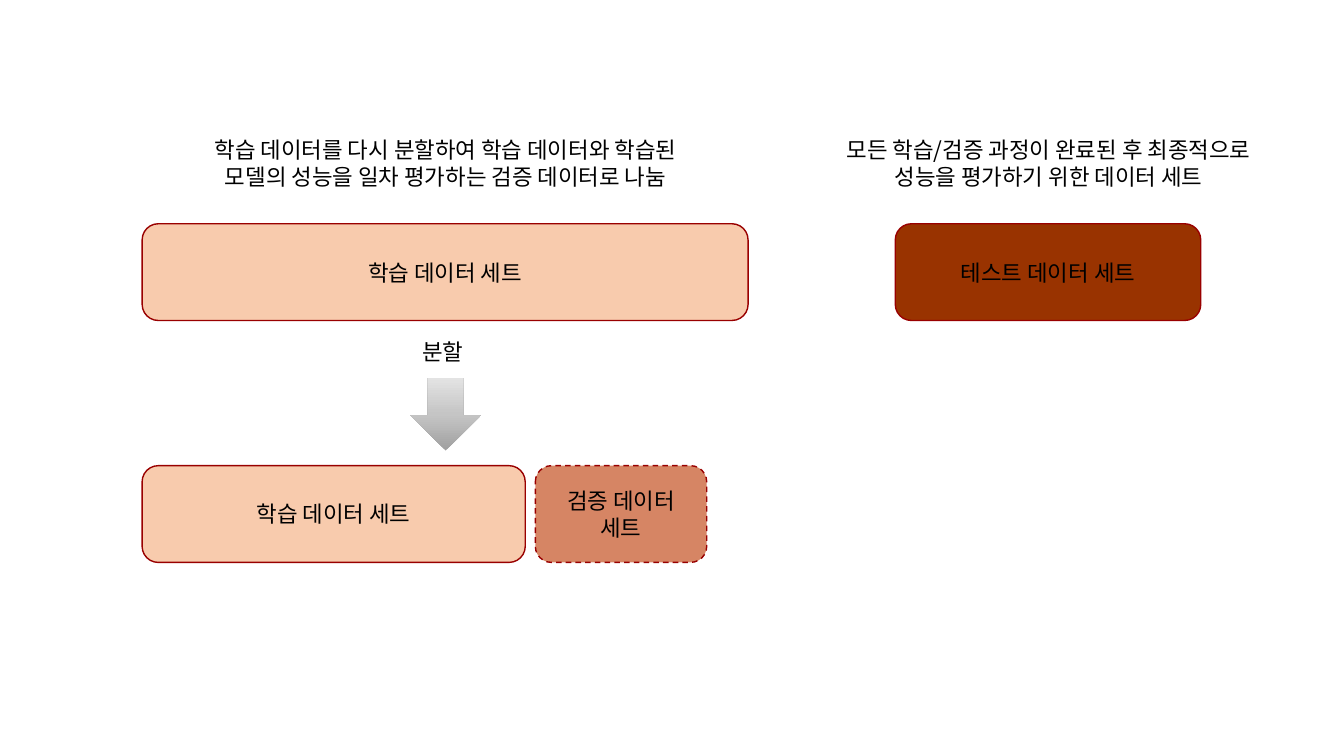
"""Build a slide on splitting data into training, validation and test sets."""
from copy import deepcopy
from dataclasses import dataclass

from lxml import etree
from pptx import Presentation
from pptx.dml.color import RGBColor
from pptx.enum.dml import MSO_LINE
from pptx.enum.shapes import MSO_SHAPE
from pptx.enum.text import MSO_ANCHOR, MSO_AUTO_SIZE, PP_ALIGN
from pptx.oxml.ns import qn
from pptx.shapes.autoshape import Shape
from pptx.slide import Slide
from pptx.util import Inches, Pt

ROUND = MSO_SHAPE.ROUNDED_RECTANGLE
DOWN = MSO_SHAPE.DOWN_ARROW
DASH = MSO_LINE.DASH
MIDDLE = MSO_ANCHOR.MIDDLE
GROW = MSO_AUTO_SIZE.SHAPE_TO_FIT_TEXT
LEFT, CENTER = PP_ALIGN.LEFT, PP_ALIGN.CENTER
CELL = Inches(0.1)


@dataclass(frozen=True)
class Theme:
    font: str = "Noto Sans CJK KR"
    size: int = 16
    ink: str = "000000"
    edge: str = "990000"
    train: str = "F8CBAD"
    check: str = "D68564"
    test: str = "993300"
    fade: tuple[str, ...] = ("A0A0A0", "C5C5C5", "E3E3E3")


@dataclass(frozen=True)
class Area:
    col: float
    row: float
    cols: float
    rows: float

    def place(self) -> tuple[int, ...]:
        return tuple(round(n * CELL) for n in (self.col, self.row, self.cols, self.rows))


@dataclass(frozen=True)
class Box:
    text: str
    area: Area
    fill: str
    dashed: bool = False


@dataclass(frozen=True)
class Note:
    lines: tuple[str, ...]
    area: Area
    align: PP_ALIGN = CENTER


THEME = Theme()
TOP, LOW, TALL = 22.2, 46.2, 9.6
START = 14.1
BOXES = (
    Box("학습 데이터 세트", Area(START, TOP, 60.1, TALL), THEME.train),
    Box("학습 데이터 세트", Area(START, LOW, 38, TALL), THEME.train),
    Box("검증 데이터 세트", Area(53.1, LOW, 17, TALL), THEME.check, True),
    Box("테스트 데이터 세트", Area(88.8, TOP, 30.3, TALL), THEME.test),
)
NOTES = (
    Note(("학습 데이터를 다시 분할하여 학습 데이터와 학습된",
          "모델의 성능을 일차 평가하는 검증 데이터로 나눔"), Area(16.3, 13, 55.8, 6.4)),
    Note(("모든 학습/검증 과정이 완료된 후 최종적으로",
          "성능을 평가하기 위한 데이터 세트"), Area(80.4, 13, 47.2, 6.4)),
    Note(("분할",), Area(40.9, 33.1, 6.5, 3.7), LEFT),
)
ARROW = Area(40.7, 37.5, 7, 7.2)


def color(code: str) -> RGBColor:
    return RGBColor.from_string(code)


def write(shape: Shape, lines: tuple[str, ...], align: PP_ALIGN) -> None:
    frame = shape.text_frame
    frame.text = "\n".join(lines)
    for para in frame.paragraphs:
        para.alignment = align
        font = para.font
        font.size = Pt(THEME.size)
        font.color.rgb = color(THEME.ink)
        font.name = THEME.font
        props = para._p.get_or_add_pPr().find(qn("a:defRPr"))
        etree.SubElement(props, qn("a:ea")).set("typeface", THEME.font)


def draw_box(slide: Slide, box: Box) -> None:
    shape = slide.shapes.add_shape(ROUND, *box.area.place())
    shape.shadow.inherit = False
    shape.fill.solid()
    shape.fill.fore_color.rgb = color(box.fill)
    shape.line.color.rgb = color(THEME.edge)
    shape.line.width = Pt(1)
    if box.dashed:
        shape.line.dash_style = DASH
    shape.text_frame.vertical_anchor = MIDDLE
    write(shape, (box.text,), CENTER)


def draw_note(slide: Slide, note: Note) -> None:
    shape = slide.shapes.add_textbox(*note.area.place())
    write(shape, note.lines, note.align)
    shape.text_frame.word_wrap = False
    shape.text_frame.auto_size = GROW


def draw_arrow(slide: Slide, area: Area) -> None:
    shape = slide.shapes.add_shape(DOWN, *area.place())
    shape.shadow.inherit = False
    shape.line.fill.background()
    shape.fill.gradient()
    shape.fill.gradient_angle = 90
    stops = shape._element.spPr.find(".//" + qn("a:gsLst"))
    stops.append(deepcopy(stops[0]))
    for i, (stop, code) in enumerate(zip(shape.fill.gradient_stops, THEME.fade)):
        stop.position = i / 2
        stop.color.rgb = color(code)


def main() -> None:
    deck = Presentation()
    deck.slide_width, deck.slide_height = Inches(13.33), Inches(7.5)
    slide = deck.slides.add_slide(deck.slide_layouts[6])
    for box in BOXES:
        draw_box(slide, box)
    for note in NOTES:
        draw_note(slide, note)
    draw_arrow(slide, ARROW)
    deck.save("out.pptx")


if __name__ == "__main__":
    main()
